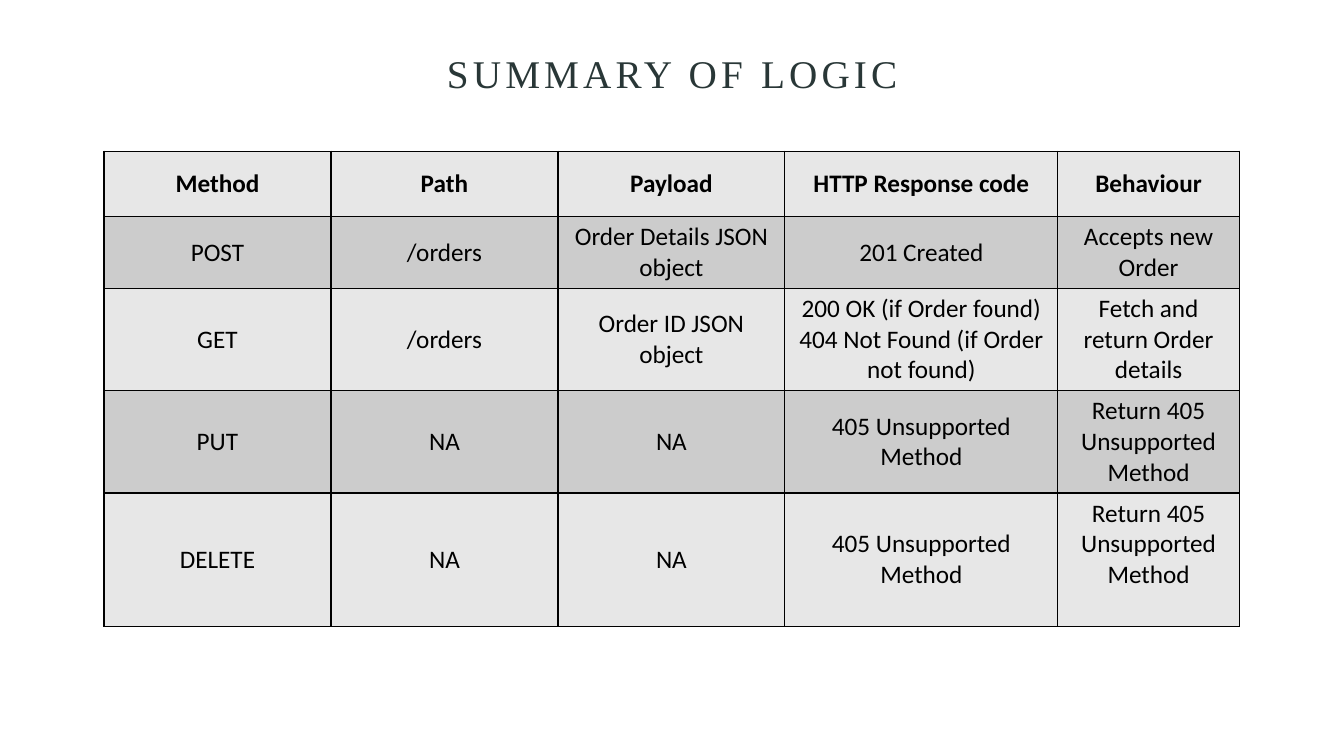
from dataclasses import dataclass

from lxml.etree import SubElement
from pptx import Presentation
from pptx.dml.color import RGBColor
from pptx.enum.text import MSO_ANCHOR as Anchor, PP_ALIGN as Align
from pptx.oxml.ns import qn
from pptx.util import Cm, Pt


@dataclass(frozen=True)
class Theme:
    """Colours, fonts and type sizes of the slide."""
    title_font: str = "Times New Roman"
    table_font: str = "Calibri"
    title_size: int = 28
    table_size: int = 18
    title_spacing: int = 3
    border_width: int = 1
    title_color: str = "293737"
    text_color: str = "000000"
    border_color: str = "000000"
    band_colors: tuple = ("E7E7E7", "CCCCCC")


THEME = Theme()
COLUMN_WIDTHS = (5.72, 5.72, 5.72, 6.88, 4.57)
ROW_HEIGHTS = (1.65, 1.65, 2.36, 2.36, 3.07)
LOGIC_ROWS = (
    ("Method", "Path", "Payload", "HTTP Response code", "Behaviour"),
    ("POST", "/orders", "Order Details JSON object", "201 Created",
     "Accepts new Order"),
    ("GET", "/orders", "Order ID JSON object",
     "200 OK (if Order found)\n404 Not Found (if Order not found)",
     "Fetch and return Order details"),
    ("PUT", "NA", "NA", "405 Unsupported Method",
     "Return 405 Unsupported Method"),
    ("DELETE", "NA", "NA", "405 Unsupported Method",
     "Return 405 Unsupported Method"),
)


def style_paragraph(paragraph, font_name, size, color, bold=False):
    """Centre a paragraph and set its font."""
    paragraph.alignment = Align.CENTER
    font = paragraph.font
    font.name = font_name
    font.size = Pt(size)
    font.bold = bold
    font.color.rgb = RGBColor.from_string(color)


def set_title(slide, text):
    """Place and format the slide title."""
    title = slide.shapes.title
    title.left, title.top = Cm(3.76), Cm(0)
    title.width, title.height = Cm(26.37), Cm(3.81)
    frame = title.text_frame
    frame.text = text
    frame.vertical_anchor = Anchor.MIDDLE
    paragraph = frame.paragraphs[0]
    paragraph.line_spacing = 0.9
    style_paragraph(paragraph, THEME.title_font, THEME.title_size, THEME.title_color)
    properties = paragraph.runs[0].font._element
    properties.set("spc", str(THEME.title_spacing * 100))


def add_borders(cell):
    """Draw a solid line on each side of a cell."""
    properties = cell._tc.get_or_add_tcPr()
    for side in ("lnL", "lnR", "lnT", "lnB"):
        line = SubElement(properties, qn(f"a:{side}"), w=str(Pt(THEME.border_width)))
        fill = SubElement(line, qn("a:solidFill"))
        SubElement(fill, qn("a:srgbClr"), val=THEME.border_color)


def fill_cell(cell, text, band_color, bold):
    """Write and format one table cell."""
    cell.text = text
    cell.vertical_anchor = Anchor.MIDDLE
    add_borders(cell)
    cell.fill.solid()
    cell.fill.fore_color.rgb = RGBColor.from_string(band_color)
    for paragraph in cell.text_frame.paragraphs:
        style_paragraph(paragraph, THEME.table_font, THEME.table_size,
                        THEME.text_color, bold)


def add_logic_table(slide):
    """Add the banded table of methods and responses."""
    table = slide.shapes.add_table(
        len(LOGIC_ROWS), len(COLUMN_WIDTHS), Cm(2.62), Cm(3.81),
        Cm(sum(COLUMN_WIDTHS)), Cm(sum(ROW_HEIGHTS))).table
    for column, width in zip(table.columns, COLUMN_WIDTHS):
        column.width = Cm(width)
    for row_index, (row, height) in enumerate(zip(table.rows, ROW_HEIGHTS)):
        row.height = Cm(height)
        band_color = THEME.band_colors[row_index % 2]
        for cell, text in zip(row.cells, LOGIC_ROWS[row_index]):
            fill_cell(cell, text, band_color, bold=row_index == 0)
    last_cell = table.cell(len(LOGIC_ROWS) - 1, len(COLUMN_WIDTHS) - 1)
    last_cell.margin_bottom = Cm(0.9)


def main():
    """Build the slide and save the presentation."""
    presentation = Presentation()
    presentation.slide_width = Cm(33.87)
    presentation.slide_height = Cm(19.05)
    title_only = presentation.slide_layouts.get_by_name("Title Only")
    slide = presentation.slides.add_slide(title_only)
    set_title(slide, "SUMMARY OF LOGIC")
    add_logic_table(slide)
    presentation.save("out.pptx")


if __name__ == "__main__":
    main()
